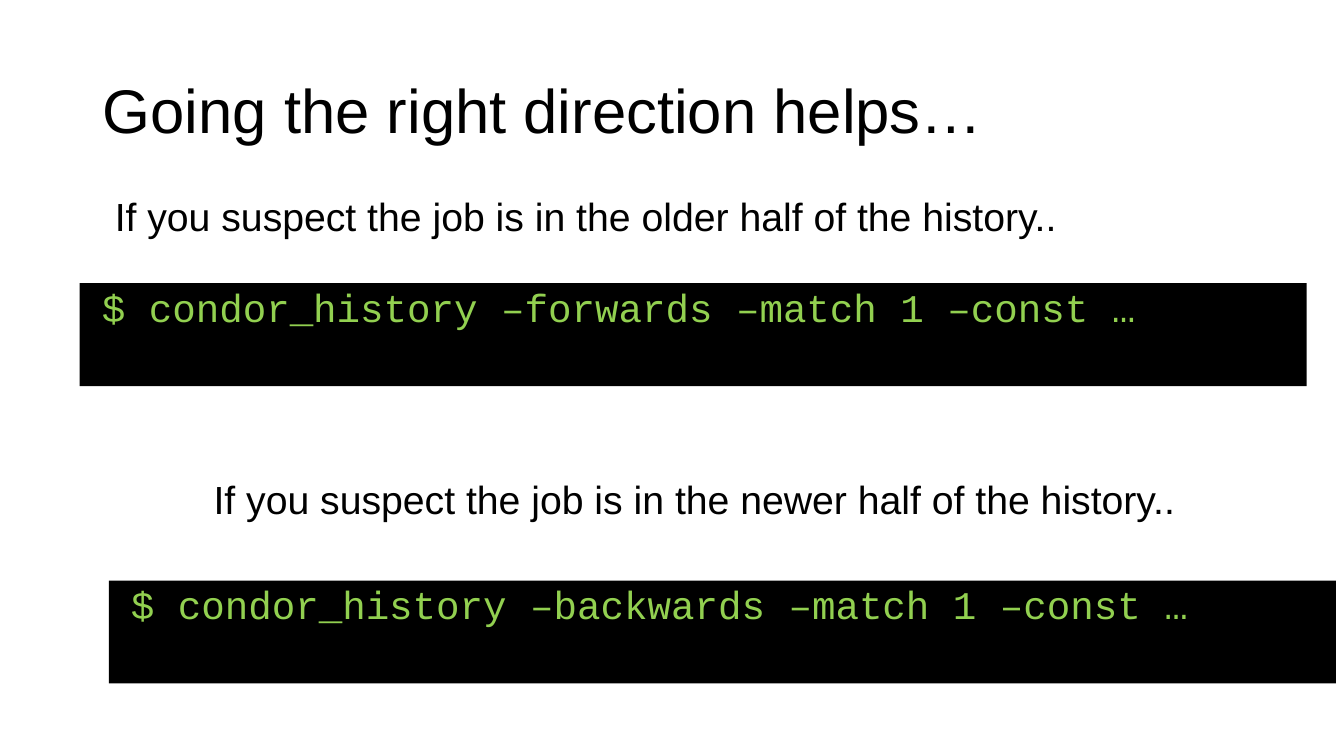
from lxml import etree
from pptx import Presentation
from pptx.dml.color import RGBColor
from pptx.enum.text import MSO_ANCHOR, MSO_AUTO_SIZE, PP_ALIGN
from pptx.oxml.ns import qn
from pptx.util import Inches, Pt

LEFT = PP_ALIGN.LEFT
TOP, MIDDLE = MSO_ANCHOR.TOP, MSO_ANCHOR.MIDDLE
NO_AUTOFIT = MSO_AUTO_SIZE.NONE


def color(value):
    return RGBColor.from_string(value)


class Deck:
    SANS, MONO = "Arial", "Courier New"
    BLACK, GREEN = "000000", "92D050"
    TITLE_SIZE, TEXT_SIZE = 44, 28
    INDENT = 0.12
    CAPTION_SIZE = (10.52, 0.72)
    COMMAND_SIZE = (12.17, 1.02)

    def __init__(self, prs):
        self.slide = prs.slides.add_slide(prs.slide_layouts[1])

    def place(self, sp, left, top, width, height):
        sp.left, sp.top = Inches(left), Inches(top)
        sp.width, sp.height = Inches(width), Inches(height)

    def set_text(self, sp, text, font, size, ink, indent=0, anchor=TOP):
        tf = sp.text_frame
        tf.text = text
        tf.word_wrap = True
        tf.auto_size = NO_AUTOFIT
        tf.vertical_anchor = anchor
        p = tf.paragraphs[0]
        pPr = p._p.get_or_add_pPr()
        pPr.set("marL", str(Inches(indent)))
        pPr.set("indent", "0")
        etree.SubElement(pPr, qn("a:buNone"))
        p.alignment = LEFT
        p.line_spacing = 0.9
        p.space_before = Pt(0)
        r = p.runs[0]
        r.font.name, r.font.size = font, Pt(size)
        r.font.color.rgb = color(ink)

    def title(self, text):
        sp = self.slide.shapes.title
        self.place(sp, 0.92, 0.4, 11.5, 1.45)
        self.set_text(sp, text, self.SANS, self.TITLE_SIZE, self.BLACK, anchor=MIDDLE)

    def caption(self, text, left, top):
        sp = self.slide.shapes.add_textbox(0, 0, 0, 0)
        self.place(sp, left, top, *self.CAPTION_SIZE)
        self.set_text(sp, text, self.SANS, self.TEXT_SIZE, self.BLACK, self.INDENT)

    def command(self, text, left, top, sp=None):
        """Draw a terminal line, in the given placeholder or a new text box."""
        if sp is None:
            sp = self.slide.shapes.add_textbox(0, 0, 0, 0)
        self.place(sp, left, top, *self.COMMAND_SIZE)
        sp.fill.solid()
        sp.fill.fore_color.rgb = color(self.BLACK)
        self.set_text(sp, text, self.MONO, self.TEXT_SIZE, self.GREEN, self.INDENT)


def main():
    prs = Presentation()
    prs.slide_width, prs.slide_height = Inches(13.33), Inches(7.5)
    deck = Deck(prs)
    body = deck.slide.placeholders[1]

    deck.title("Going the right direction helps…")
    deck.command("$ condor_history –forwards –match 1 –const …", 0.79, 2.81, body)
    deck.caption("If you suspect the job is in the older half of the history..", 0.92, 1.91)
    deck.command("$ condor_history –backwards –match 1 –const …", 1.08, 5.76)
    deck.caption("If you suspect the job is in the newer half of the history..", 1.9, 4.72)

    prs.save("out.pptx")


if __name__ == "__main__":
    main()
